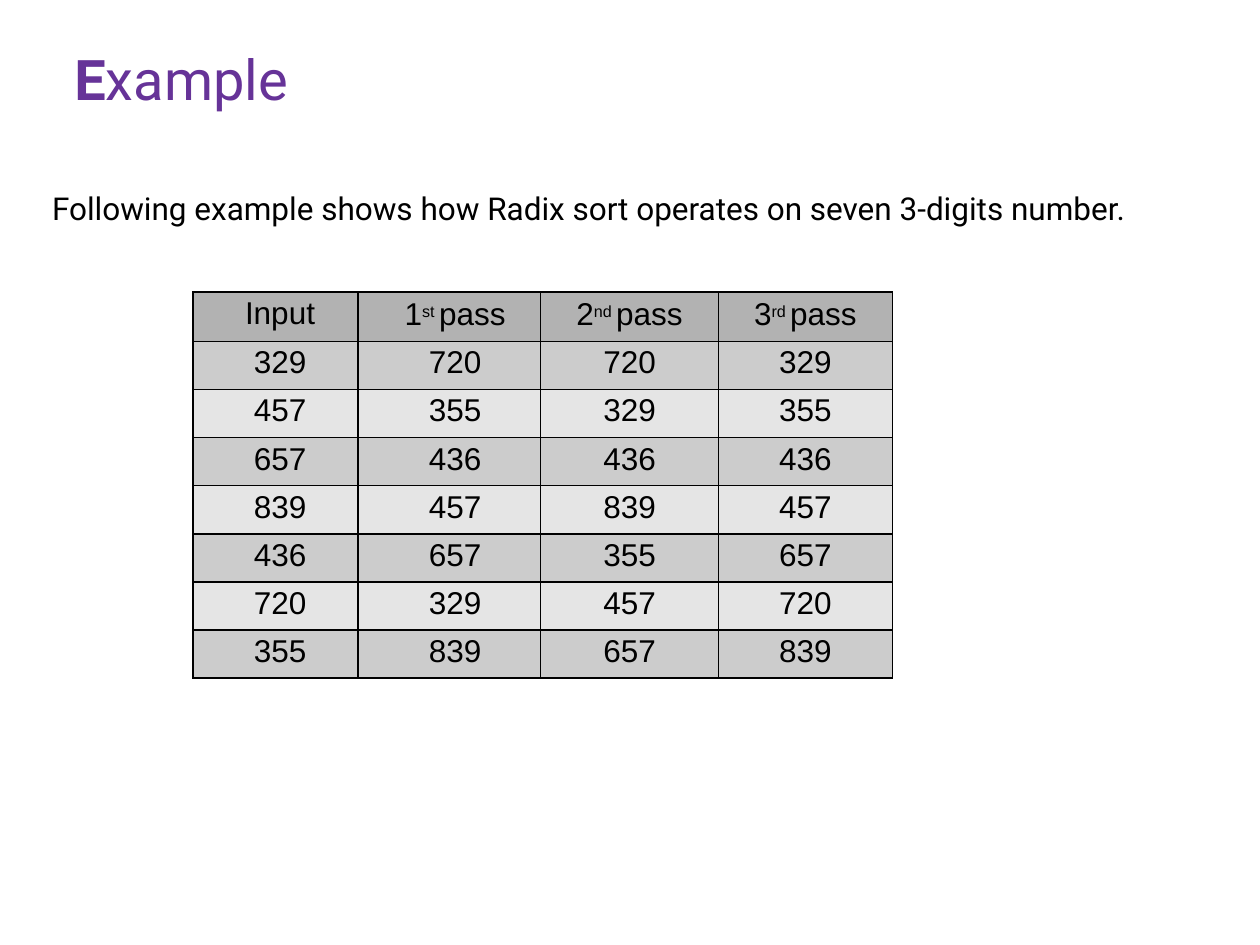
from lxml.etree import SubElement
from pptx import Presentation
from pptx.dml.color import RGBColor
from pptx.enum.text import MSO_ANCHOR, PP_ALIGN
from pptx.oxml import parse_xml
from pptx.oxml.ns import nsdecls
from pptx.util import Cm, Pt

PURPLE = RGBColor(0x66, 0x33, 0x98)
BLACK = RGBColor(0x00, 0x00, 0x00)
HEADER_GREY = RGBColor(0xB2, 0xB2, 0xB2)
BAND_GREYS = (RGBColor(0xCC, 0xCC, 0xCC), RGBColor(0xE5, 0xE5, 0xE5))

HEADERS = [("Input",), ("1", "st ", "pass"), ("2", "nd ", "pass"), ("3", "rd ", "pass")]
PASSES = [
    (329, 720, 720, 329),
    (457, 355, 329, 355),
    (657, 436, 436, 436),
    (839, 457, 839, 457),
    (436, 657, 355, 657),
    (720, 329, 457, 720),
    (355, 839, 657, 839),
]
COLUMN_WIDTHS = (3.33, 3.68, 3.58, 3.51)
COLUMN_INDENTS = (0.18, 0.23, 0, 0)
HEADER_HEIGHT, ROW_HEIGHT = 0.99, 0.97


def format_paragraph(paragraph, font_name, size, color, alignment, indent=0.0):
    """Set the alignment, left indent and font of a whole paragraph."""
    paragraph.alignment = alignment
    properties = paragraph._p.get_or_add_pPr()
    properties.set("marL", str(Cm(indent)))
    properties.set("indent", "0")
    paragraph.font.name = font_name
    paragraph.font.size = Pt(size)
    paragraph.font.color.rgb = color


def format_frame(text_frame, anchor):
    """Give a text frame wrapping text and almost no margins."""
    text_frame.word_wrap = True
    text_frame.vertical_anchor = anchor
    text_frame.margin_left = text_frame.margin_right = text_frame.margin_bottom = 0
    text_frame.margin_top = Cm(0.03)


def add_title(slide, left, top, width, height):
    """Fill the title placeholder, with a bold initial."""
    title = slide.shapes.title
    title.left, title.top, title.width, title.height = map(Cm, (left, top, width, height))
    format_frame(title.text_frame, MSO_ANCHOR.MIDDLE)
    paragraph = title.text_frame.paragraphs[0]
    for text, bold in (("E", True), ("xample", False)):
        run = paragraph.add_run()
        run.text = text
        run.font.bold = bold
    format_paragraph(paragraph, "Roboto", 32, PURPLE, PP_ALIGN.LEFT, 0.03)


def add_introduction(slide, left, top, width, height):
    """Add the sentence that introduces the table."""
    text_box = slide.shapes.add_textbox(*map(Cm, (left, top, width, height)))
    format_frame(text_box.text_frame, MSO_ANCHOR.TOP)
    paragraph = text_box.text_frame.paragraphs[0]
    paragraph.add_run().text = (
        "Following example shows how Radix sort operates on seven 3-digits number."
    )
    format_paragraph(paragraph, "Roboto", 18, BLACK, PP_ALIGN.LEFT, 0.03)


def add_borders(cell):
    """Draw a thin black line on all four sides of a cell."""
    properties = cell._tc.get_or_add_tcPr()
    for position, side in enumerate(("lnL", "lnR", "lnT", "lnB")):
        line = parse_xml(f'<a:{side} {nsdecls("a")} w="{Pt(1)}"/>')
        fill = SubElement(line, f"{{{line.nsmap['a']}}}solidFill")
        SubElement(fill, f"{{{line.nsmap['a']}}}srgbClr", val=str(BLACK))
        properties.insert(position, line)


def fill_cell(cell, parts, color, indent):
    """Write the text parts of a cell, the second one as a superscript."""
    cell.margin_left = cell.margin_right = cell.margin_bottom = 0
    cell.margin_top = Cm(0.1 if len(parts) > 1 else 0.08)
    cell.fill.solid()
    cell.fill.fore_color.rgb = color
    add_borders(cell)
    paragraph = cell.text_frame.paragraphs[0]
    for position, text in enumerate(parts):
        run = paragraph.add_run()
        run.text = text
        if position == 1:
            run.font.size = Pt(15.8)
            run._r.get_or_add_rPr().set("baseline", "30000")
    format_paragraph(paragraph, "Arial", 18, BLACK, PP_ALIGN.CENTER, indent)


def add_pass_table(slide, left, top):
    """Add the table that shows the numbers after each pass."""
    rows = [HEADERS] + [[(str(number),) for number in numbers] for numbers in PASSES]
    heights = [HEADER_HEIGHT] + [ROW_HEIGHT] * len(PASSES)
    frame = slide.shapes.add_table(
        len(rows), len(HEADERS),
        Cm(left), Cm(top), Cm(sum(COLUMN_WIDTHS)), Cm(sum(heights)),
    )
    table = frame.table
    for column, width in zip(table.columns, COLUMN_WIDTHS):
        column.width = Cm(width)
    for row_index, (row, height) in enumerate(zip(rows, heights)):
        table.rows[row_index].height = Cm(height)
        color = BAND_GREYS[(row_index - 1) % 2] if row_index else HEADER_GREY
        for column_index, (parts, indent) in enumerate(zip(row, COLUMN_INDENTS)):
            fill_cell(table.cell(row_index, column_index), parts, color, indent)
    table.first_row = table.horz_banding = False


def main():
    """Build the slide and save the presentation."""
    presentation = Presentation()
    presentation.slide_width, presentation.slide_height = Cm(25.4), Cm(19.05)
    slide = presentation.slides.add_slide(presentation.slide_layouts[5])
    add_title(slide, 1.47, 0.86, 4.4, 1.42)
    add_introduction(slide, 1.02, 3.78, 21.84, 0.84)
    add_pass_table(slide, 3.89, 5.89)
    presentation.save("out.pptx")


if __name__ == "__main__":
    main()
